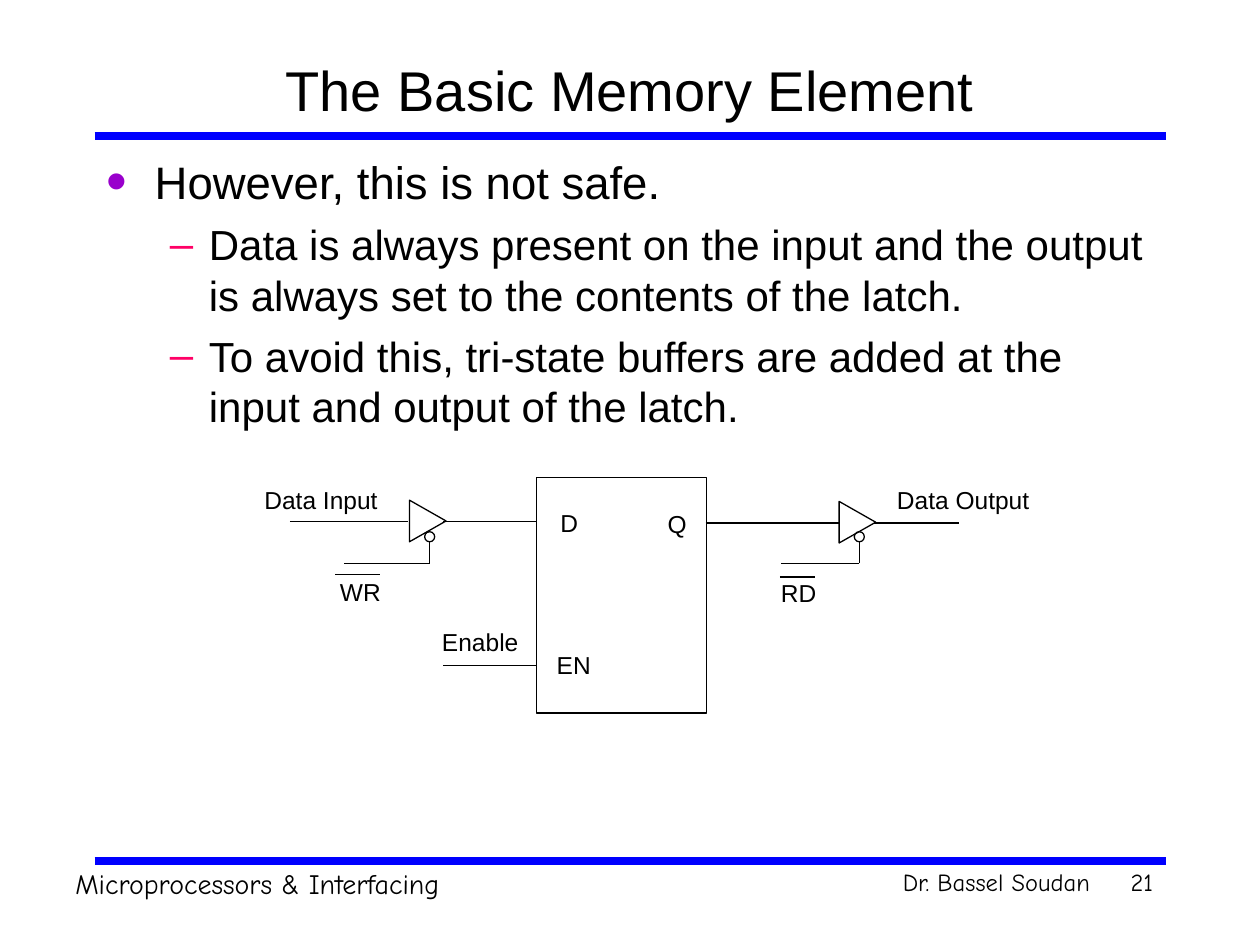
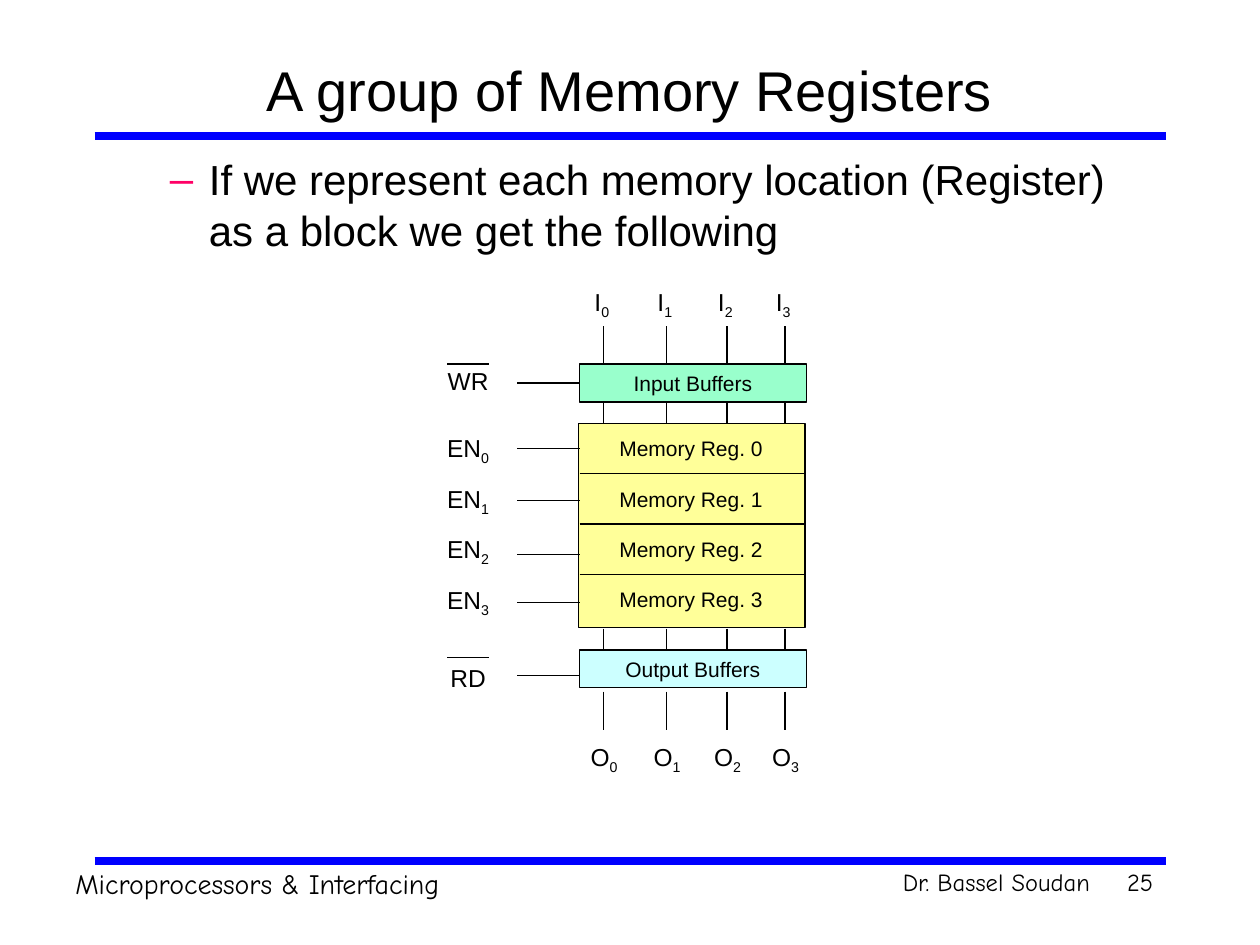
from lxml.etree import SubElement
from pptx import Presentation
from pptx.dml.color import RGBColor
from pptx.enum.shapes import MSO_CONNECTOR as Conn, MSO_SHAPE as Geo
from pptx.enum.text import MSO_ANCHOR as Anchor, MSO_AUTO_SIZE as Fit, PP_ALIGN as Align
from pptx.oxml.ns import qn
from pptx.util import Inches, Pt

COLORS = {
    "ink": "000000", "rule": "0000FF", "dot": "9900CC", "dash": "FF0066",
    "memory": "FFFF99", "input": "99FFCC", "output": "CCFFFF",
}
FONT, NOTE = "Arial", "Comic Neue"
# level: sign, colour, size in percent, left margin, hang, text size, space before
BULLETS = [
    ("•", "dot", 130, 0.38, 0.38, 26, 6.5),
    ("–", "dash", 100, 0.81, 0.31, 24, 6),
]


def color(name):
    return RGBColor.from_string(COLORS[name])


class Deck:
    def __init__(self):
        self.prs = Presentation()
        self.prs.slide_width, self.prs.slide_height = Inches(10), Inches(7.5)
        self.shapes = None

    def start(self, title, number):
        """Open a slide with its title, rules and footer."""
        slide = self.prs.slides.add_slide(self.prs.slide_layouts[5])
        self.shapes = slide.shapes
        head = self.shapes.title
        head.left, head.top = Inches(0.75), Inches(0.33)
        head.width, head.height = Inches(8.5), Inches(0.75)
        frame = head.text_frame
        frame.vertical_anchor, frame.auto_size = Anchor.MIDDLE, Fit.NONE
        frame.paragraphs[0].alignment = Align.CENTER
        self.run(frame.paragraphs[0], title, 32)
        for y in (1.08, 6.83):
            self.line(0.75, y, 9.25, y, "rule", 4.5)
        self.label("Microprocessors & Interfacing", 0.5, 6.83, 5.67, 0.37, 16, font=NOTE)
        self.label("Dr. Bassel Soudan", 6.33, 6.83, 2.42, 0.34, align=Align.RIGHT, font=NOTE)
        self.label(number, 8.83, 6.83, 0.42, 0.34, align=Align.RIGHT, font=NOTE)

    def run(self, par, text, size, font=FONT, sub=False):
        run = par.add_run()
        run.text = text
        run.font.name, run.font.size = font, Pt(size)
        run.font.color.rgb = color("ink")
        if sub:
            run.font._element.set("baseline", "-25000")

    def label(self, text, x, y, w, h=0.34, size=14, align=Align.LEFT, font=FONT, sub=""):
        box = self.shapes.add_textbox(Inches(x), Inches(y), Inches(w), Inches(h))
        frame = box.text_frame
        frame.word_wrap, frame.auto_size = True, Fit.SHAPE_TO_FIT_TEXT
        par = frame.paragraphs[0]
        par.alignment = align
        self.run(par, text, size, font)
        if sub:
            self.run(par, sub, size, font, sub=True)

    def bullets(self, *items):
        """Fill the body with (level, text) items."""
        box = self.shapes.add_textbox(Inches(0.75), Inches(1.17), Inches(8.5), Inches(5.58))
        frame = box.text_frame
        frame.word_wrap = True
        for i, (level, text) in enumerate(items):
            sign, tint, scale, left, hang, size, before = BULLETS[level]
            par = frame.add_paragraph() if i else frame.paragraphs[0]
            par.level, par.space_before = level, Pt(before)
            props = par._p.get_or_add_pPr()
            props.set("marL", str(Inches(left)))
            props.set("indent", str(-Inches(hang)))
            fill = SubElement(props, qn("a:buClr"))
            SubElement(fill, qn("a:srgbClr")).set("val", COLORS[tint])
            SubElement(props, qn("a:buSzPct")).set("val", str(scale * 1000))
            SubElement(props, qn("a:buFont")).set("typeface", FONT)
            SubElement(props, qn("a:buChar")).set("char", sign)
            self.run(par, text, size)

    def shape(self, geo, x, y, w, h, fill=None, text="", turn=0):
        item = self.shapes.add_shape(geo, Inches(x), Inches(y), Inches(w), Inches(h))
        item.shadow.inherit = False
        item.rotation = turn
        if fill:
            item.fill.solid()
            item.fill.fore_color.rgb = color(fill)
        else:
            item.fill.background()
        item.line.color.rgb, item.line.width = color("ink"), Pt(0.75)
        if text:
            item.text_frame.vertical_anchor = Anchor.TOP
            par = item.text_frame.paragraphs[0]
            par.alignment = Align.CENTER
            self.run(par, text, 12)
        return item

    def line(self, x1, y1, x2, y2, tint="ink", width=0.75):
        wire = self.shapes.add_connector(
            Conn.STRAIGHT, Inches(x1), Inches(y1), Inches(x2), Inches(y2))
        wire.line.color.rgb, wire.line.width = color(tint), Pt(width)
        SubElement(wire._element.spPr, qn("a:effectLst"))
        return wire

    def gate(self, x, y, end):
        """Tri-state buffer whose control wire runs left to end."""
        self.shape(Geo.ISOSCELES_TRIANGLE, x, y, 0.33, 0.29, turn=90)
        self.shape(Geo.OVAL, x + 0.14, 4.22, 0.08, 0.08)
        stem = x + 0.18
        self.line(stem, 4.3, stem, 4.47)
        self.line(stem, 4.47, end, 4.47)


def latch(deck):
    deck.start("The Basic Memory Element", "21")
    deck.bullets(
        (0, "However, this is not safe."),
        (1, "Data is always present on the input and the output is always set "
            "to the contents of the latch."),
        (1, "To avoid this, tri-state buffers are added at the input and output "
            "of the latch."),
    )
    deck.shape(Geo.RECTANGLE, 4.26, 3.79, 1.35, 1.87)
    for text, x, y, w in (("Q", 5.2, 3.99, 0.33), ("D", 4.35, 3.98, 0.33),
                          ("EN", 4.32, 5.11, 0.55), ("Data Input", 2, 3.8, 1.2),
                          ("Data Output", 7.02, 3.8, 1.35), ("Enable", 3.41, 4.93, 0.9),
                          ("WR", 2.6, 4.53, 0.6), ("RD", 6.1, 4.54, 0.6)):
        deck.label(text, x, y, w)
    deck.gate(3.23, 3.99, 2.73)
    deck.gate(6.64, 4, 6.2)
    wires = [(2.3, 3.24, 4.14), (3.52, 4.26, 4.14), (5.6, 6.66, 4.15),
             (6.94, 7.61, 4.15), (3.52, 4.26, 5.28)]
    bars = [(2.66, 3.02, 4.56), (6.19, 6.47, 4.58)]
    for left, right, y in wires + bars:
        deck.line(left, y, right, y)


def group(deck):
    deck.start("A group of Memory Registers", "25")
    deck.bullets((1, "If we represent each memory location (Register) as a block "
                     "we get the following"))
    deck.shape(Geo.RECTANGLE, 4.59, 3.36, 1.8, 1.62, "memory")
    inlet = deck.shape(Geo.RECTANGLE, 4.6, 2.89, 1.8, 0.3, "input", "Input Buffers")
    deck.shape(Geo.RECTANGLE, 4.6, 5.16, 1.8, 0.3, "output", "Output Buffers")

    for i, y in enumerate((3.56, 3.97, 4.4, 4.78)):
        step = 0.4 * i
        deck.label(f"Memory Reg. {i}", 4.58, 3.41 + step, 1.81, 0.3, 12, Align.CENTER)
        deck.label("EN", 3.42, 3.39 + step, 0.59, 0.37, align=Align.CENTER, sub=str(i))
        deck.line(4.6, y, 4.1, y)
        if i:
            deck.line(4.6, 3.36 + step, 6.4, 3.36 + step)

    for i, x in enumerate((4.79, 5.29, 5.77, 6.23)):
        for top, bottom in ((2.59, 2.89), (3.19, 3.36), (4.99, 5.16), (5.49, 5.79)):
            deck.line(x, top, x, bottom)
        deck.label("I", x - 0.17, 2.23, 0.34, 0.37, sub=str(i))
        deck.label("O", x - 0.23, 5.84, 0.47, 0.37, align=Align.CENTER, sub=str(i))

    for text, y, bar in (("WR", 2.86, 2.89), ("RD", 5.21, 5.22)):
        deck.label(text, 3.42, y, 0.59, align=Align.CENTER)
        deck.line(3.55, bar, 3.88, bar)
    deck.line(4.6, 3.04, 4.1, 3.04).begin_connect(inlet, 1)
    deck.line(4.6, 5.36, 4.1, 5.36)


def main():
    deck = Deck()
    latch(deck)
    group(deck)
    deck.prs.save("out.pptx")


if __name__ == "__main__":
    main()
